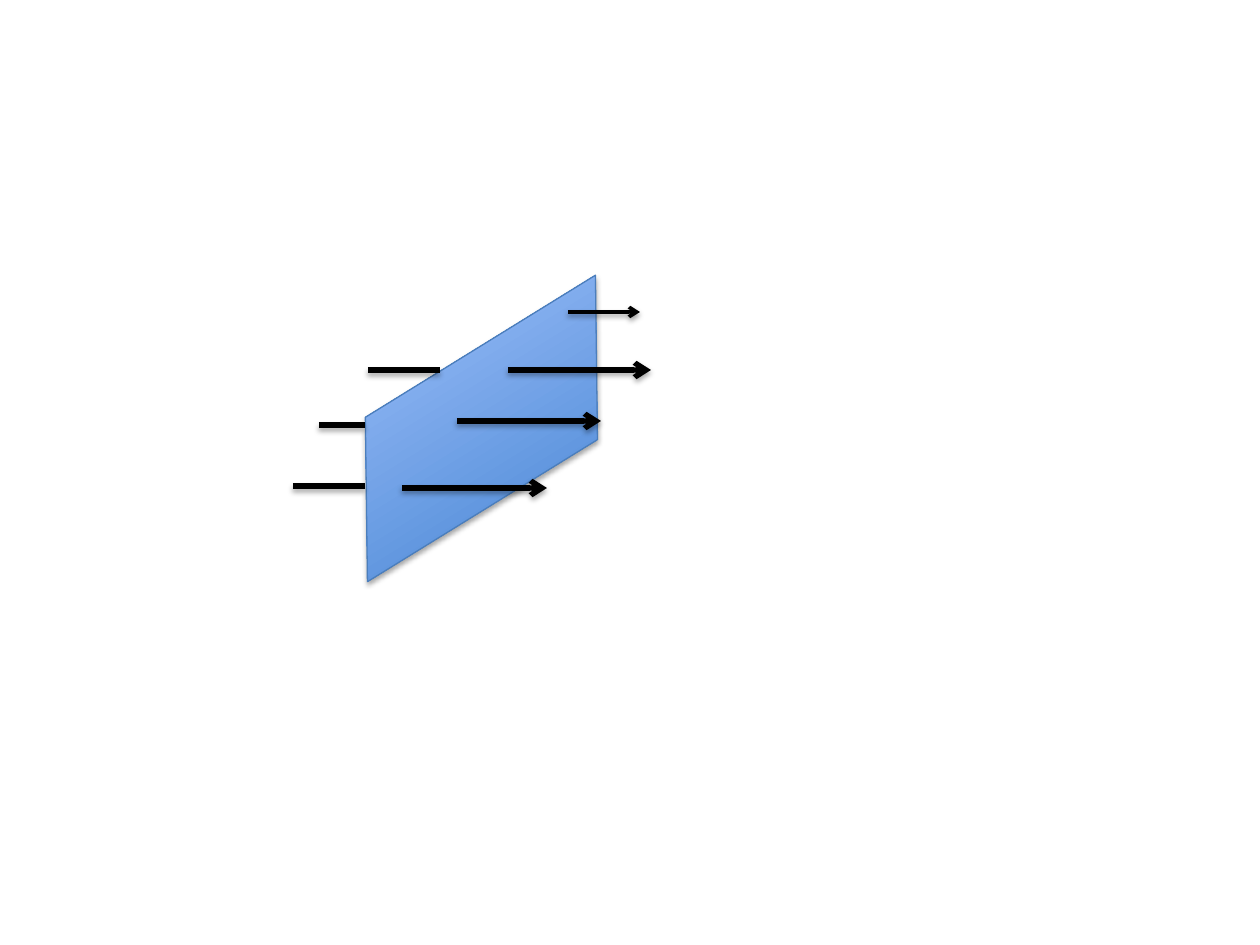
from typing import NamedTuple

from lxml.etree import SubElement
from pptx import Presentation
from pptx.dml.color import RGBColor
from pptx.enum.shapes import MSO_CONNECTOR as Connector, MSO_SHAPE as Shape
from pptx.oxml.ns import qn
from pptx.util import Emu, Pt

PX_PER_INCH = 126
BLACK = RGBColor(0x00, 0x00, 0x00)
PLANE_EDGE = RGBColor(0x4B, 0x7E, 0xBC)
PLANE_GRADIENT = (RGBColor(0x3F, 0x80, 0xCE), RGBColor(0xA4, 0xC4, 0xFF))


class Ray(NamedTuple):
    start: int
    end: int
    y: int
    arrow: bool
    weight: int = 3
    shadow_distance: float = 1.8
    shadow_opacity: int = 35


RAYS = (
    # Leaving the plane
    Ray(508, 651, 370, True),
    Ray(457, 601, 421, True),
    Ray(402, 547, 488, True),
    # Arriving from behind
    Ray(293, 365, 486, False),
    Ray(319, 365, 425, False),
    Ray(368, 440, 370, False),
    # Thin ray at the far corner
    Ray(568, 640, 312, True, 2, 1.6, 38),
)


def px(length: int) -> Emu:
    return Emu(round(length * 914400 / PX_PER_INCH))


def add_shadow(element, distance: float = 1.8, opacity: int = 35) -> None:
    """Cast a soft black shadow straight down."""
    effects = SubElement(element.spPr, qn("a:effectLst"))
    shadow = SubElement(effects, qn("a:outerShdw"))
    values = {"blurRad": Pt(3.1), "dist": Pt(distance), "dir": 90 * 60000, "rotWithShape": 0}
    for key, value in values.items():
        shadow.set(key, str(value))
    color = SubElement(shadow, qn("a:srgbClr"), val=str(BLACK))
    SubElement(color, qn("a:alpha"), val=str(opacity * 1000))


def add_plane(slide) -> None:
    plane = slide.shapes.add_shape(
        Shape.PARALLELOGRAM, px(304), px(358), px(355), px(141))
    plane.rotation = 328.3
    plane.adjustments[0] = 0.6
    plane.fill.gradient()
    plane.fill.gradient_angle = 90
    for stop, color in zip(plane.fill.gradient_stops, PLANE_GRADIENT):
        stop.color.rgb = color
    plane.line.color.rgb = PLANE_EDGE
    plane.line.width = Pt(0.75)
    add_shadow(plane.element)


def add_ray(slide, ray: Ray) -> None:
    line = slide.shapes.add_connector(
        Connector.STRAIGHT, px(ray.start), px(ray.y), px(ray.end), px(ray.y))
    line.line.color.rgb = BLACK
    line.line.width = Pt(ray.weight)
    if ray.arrow:
        SubElement(line.element.spPr.find(qn("a:ln")), qn("a:tailEnd"), type="arrow")
    add_shadow(line.element, ray.shadow_distance, ray.shadow_opacity)


def main() -> None:
    deck = Presentation()
    deck.slide_width, deck.slide_height = px(1260), px(945)
    slide = deck.slides.add_slide(deck.slide_layouts[6])
    add_plane(slide)
    for ray in RAYS:
        add_ray(slide, ray)
    deck.save("out.pptx")


if __name__ == "__main__":
    main()
